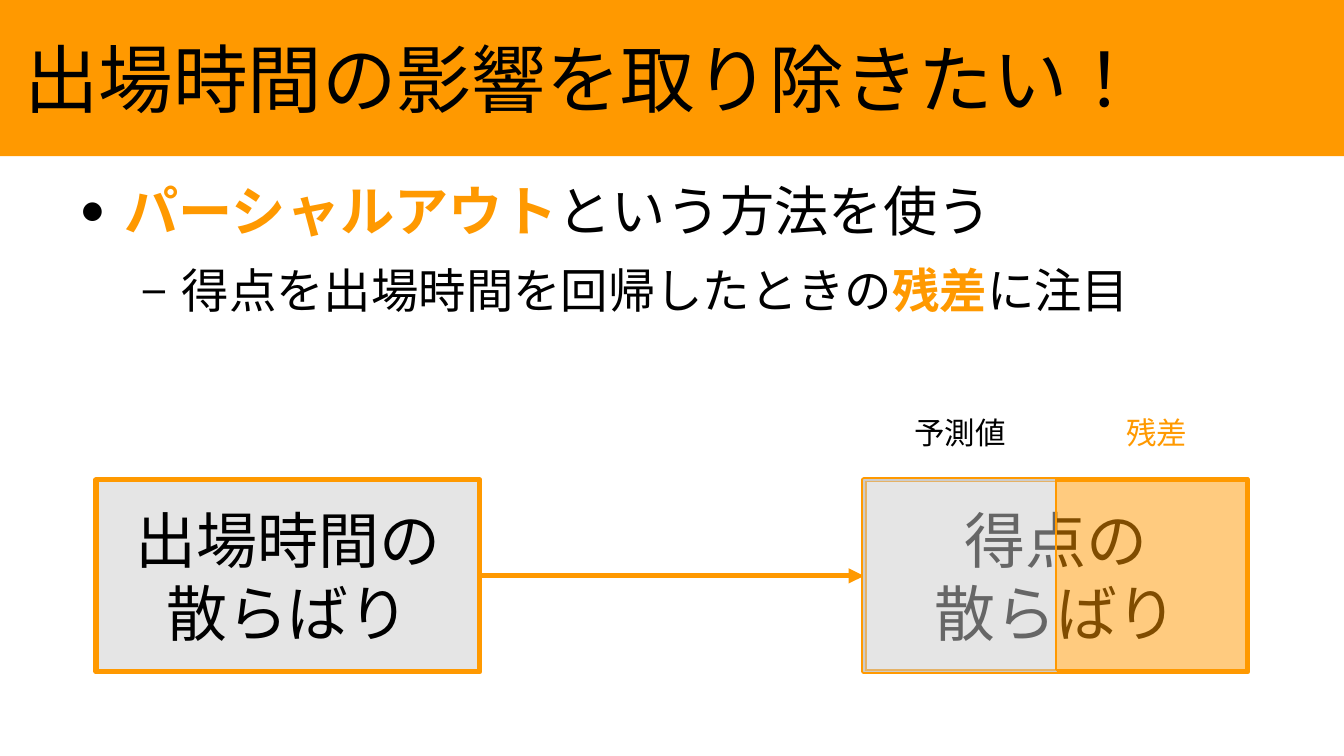
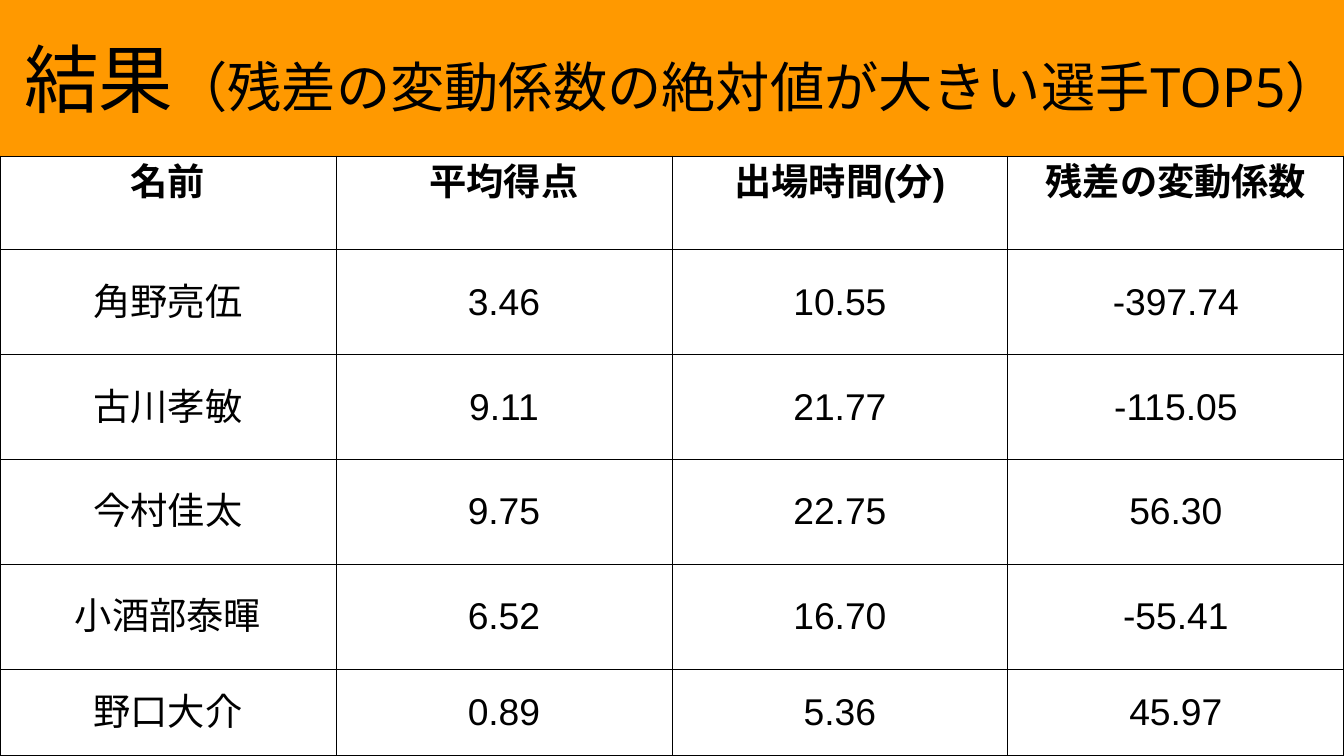
from lxml import etree
from pptx import Presentation
from pptx.dml.color import RGBColor
from pptx.enum.lang import MSO_LANGUAGE_ID
from pptx.enum.shapes import MSO_CONNECTOR, MSO_SHAPE
from pptx.enum.text import MSO_ANCHOR, MSO_AUTO_SIZE, PP_ALIGN
from pptx.oxml.ns import qn
from pptx.util import Inches, Pt

RECTANGLE = MSO_SHAPE.RECTANGLE
STRAIGHT = MSO_CONNECTOR.STRAIGHT
MIDDLE, TOP = MSO_ANCHOR.MIDDLE, MSO_ANCHOR.TOP
CENTER = PP_ALIGN.CENTER
NO_AUTOFIT = MSO_AUTO_SIZE.NONE
JAPANESE = MSO_LANGUAGE_ID.JAPANESE

ORANGE, GRAY, BLACK = "FF9900", "CCCCCC", "000000"
TITLE_FONT, TEXT_FONT = "Noto Sans", "Arial"


def color(hex_code):
    return RGBColor.from_string(hex_code)


def format_span(span, size, font, hex_code=BLACK, bold=False):
    span.font.size = Pt(size)
    span.font.name = font
    span.font.bold = bold
    span.font.color.rgb = color(hex_code)
    span.font.language_id = JAPANESE
    latin = span.font._element.find(qn("a:latin"))
    latin.addnext(etree.Element(qn("a:ea"), typeface=font))


# Deck and grid: 14 square columns across the slide
deck = Presentation()
deck.slide_width, deck.slide_height = Inches(11.02), Inches(6.2)
width, height = deck.slide_width, deck.slide_height
unit = width / 14
band_height = Inches(1.28)

# Shared title band, set on the master
master = deck.slide_master
band = master.placeholders[0]
band.left, band.top, band.width, band.height = 0, 0, width, band_height
band.fill.solid()
band.fill.fore_color.rgb = color(ORANGE)
frame = band.text_frame
frame.margin_left = frame.margin_right = frame.margin_top = frame.margin_bottom = 0
frame.vertical_anchor = MIDDLE
frame.auto_size = NO_AUTOFIT
title_style = master.element.find(f".//{qn('p:titleStyle')}/{qn('a:lvl1pPr')}")
title_style.set("algn", "l")
title_style.set("marL", str(Inches(0.2)))

# Slides with their titles: (layout number, spans of text and size)
titles = [
    (1, [("出場時間の影響を取り除きたい！", 44)]),
    (5, [("結果", 44), ("（残差の変動係数の絶対値が大きい選手TOP5）", 32)]),
]
for layout_number, spans in titles:
    page = deck.slides.add_slide(deck.slide_layouts[layout_number])
    for text, size in spans:
        span = page.shapes.title.text_frame.paragraphs[0].add_run()
        span.text = text
        format_span(span, size, TITLE_FONT)
method_page, result_page = deck.slides

# Bulleted list: (level, size, space before, bullet, bullet share, spans)
bullets = [
    (0, 32, 14.2, "●", 45,
     [("パーシャルアウト", True), ("という方法を使う", False)]),
    (1, 28, 11.3, "−", 75,
     [("得点を出場時間を回帰したときの", False), ("残差", True), ("に注目", False)]),
]
body = method_page.placeholders[1]
body.left, body.top = int(width * 0.05), Inches(1.45)
body.width, body.height = int(width * 0.9), Inches(1.46)
frame = body.text_frame
frame.margin_left = frame.margin_right = frame.margin_top = frame.margin_bottom = 0
frame.auto_size = NO_AUTOFIT
for level, size, space, mark, share, spans in bullets:
    para = frame.add_paragraph() if level else frame.paragraphs[0]
    para.level = level
    para.space_before = Pt(space)
    for text, strong in spans:
        span = para.add_run()
        span.text = text
        format_span(span, size, TITLE_FONT, ORANGE if strong else BLACK, strong)
    props = para._p.get_or_add_pPr()
    props.set("marL", str(Inches(0.47 * (level + 1))))
    props.set("indent", str(Inches(-0.35)))
    bullet_color = etree.SubElement(props, qn("a:buClr"))
    etree.SubElement(bullet_color, qn("a:srgbClr"), val=BLACK)
    etree.SubElement(props, qn("a:buSzPct"), val=str(share * 1000))
    etree.SubElement(props, qn("a:buFont"), typeface=TITLE_FONT)
    etree.SubElement(props, qn("a:buChar"), char=mark)

# Boxes, then half overlays: (column, row, columns, text, fill, line, line width)
parts = [
    (1, 5, 4, "出場時間の\n散らばり", GRAY, ORANGE, 3),
    (9, 5, 4, "得点の\n散らばり", None, ORANGE, 3),
    (9, 5, 2, "", GRAY, GRAY, 0),
    (11, 4.98, 2, "", ORANGE, ORANGE, 0),
]
boxes = []
for column, row, columns, text, fill, line, line_width in parts:
    if len(boxes) == 2:
        # Arrow lies above the boxes and below the overlays
        arrow = method_page.shapes.add_connector(STRAIGHT, 0, 0, 0, 0)
        arrow.begin_connect(boxes[0], 3)
        arrow.end_connect(boxes[1], 1)
        arrow.line.color.rgb = color(ORANGE)
        arrow.line.width = Pt(3)
        etree.SubElement(arrow.line._get_or_add_ln(), qn("a:tailEnd"), type="triangle")
        etree.SubElement(arrow._element.spPr, qn("a:effectLst"))
    box = method_page.shapes.add_shape(
        RECTANGLE, int(column * unit), int(row * unit), int(columns * unit), int(2 * unit))
    box.shadow.inherit = False
    box.line.color.rgb = color(line)
    box.line.width = Pt(line_width)
    if fill:
        box.fill.solid()
        box.fill.fore_color.rgb = color(fill)
        shade = box._element.spPr.find(f"{qn('a:solidFill')}/{qn('a:srgbClr')}")
        etree.SubElement(shade, qn("a:alpha"), val="50000")
    else:
        box.fill.background()
    if text:
        frame = box.text_frame
        frame.word_wrap = False
        frame.vertical_anchor = MIDDLE
        para = frame.paragraphs[0]
        para.text = text
        para.alignment = CENTER
        for span in para.runs:
            format_span(span, 36, TEXT_FONT)
    boxes.append(box)

# Labels above the two halves
for column, text, hex_code in [(9, "予測値", BLACK), (11.05, "残差", ORANGE)]:
    label = method_page.shapes.add_textbox(
        int(column * unit), int(4.1 * unit), int(2 * unit), int(0.8 * unit))
    frame = label.text_frame
    frame.word_wrap = True
    frame.vertical_anchor = MIDDLE
    frame.text = text
    para = frame.paragraphs[0]
    para.alignment = CENTER
    format_span(para.runs[0], 18, TEXT_FONT, hex_code)

# Result table
records = [
    ("名前", "平均得点", "出場時間(分)", "残差の変動係数"),
    ("角野亮伍", "3.46", "10.55", "-397.74"),
    ("古川孝敏", "9.11", "21.77", "-115.05"),
    ("今村佳太", "9.75", "22.75", "56.30"),
    ("小酒部泰暉", "6.52", "16.70", "-55.41"),
    ("野口大介", "0.89", "5.36", "45.97"),
]
row_heights = [0.77, 0.86, 0.86, 0.86, 0.86, 0.71]
table = result_page.shapes.add_table(
    len(records), len(records[0]), 0, band_height, width, height - band_height).table
table.first_row = table.horz_banding = False
for row_number, record in enumerate(records):
    table.rows[row_number].height = Inches(row_heights[row_number])
    for column_number, text in enumerate(record):
        cell = table.cell(row_number, column_number)
        cell.text_frame.text = text
        cell.vertical_anchor = MIDDLE if row_number else TOP
        para = cell.text_frame.paragraphs[0]
        para.alignment = CENTER
        format_span(para.runs[0], 22, TEXT_FONT, bold=row_number == 0)
        # Thin black borders, followed by no fill
        props = cell._tc.get_or_add_tcPr()
        for side in ("a:lnL", "a:lnR", "a:lnT", "a:lnB"):
            border = etree.SubElement(props, qn(side), w=str(Pt(0.57)))
            paint = etree.SubElement(border, qn("a:solidFill"))
            etree.SubElement(paint, qn("a:srgbClr"), val=BLACK)
        cell.fill.background()

deck.save("out.pptx")
